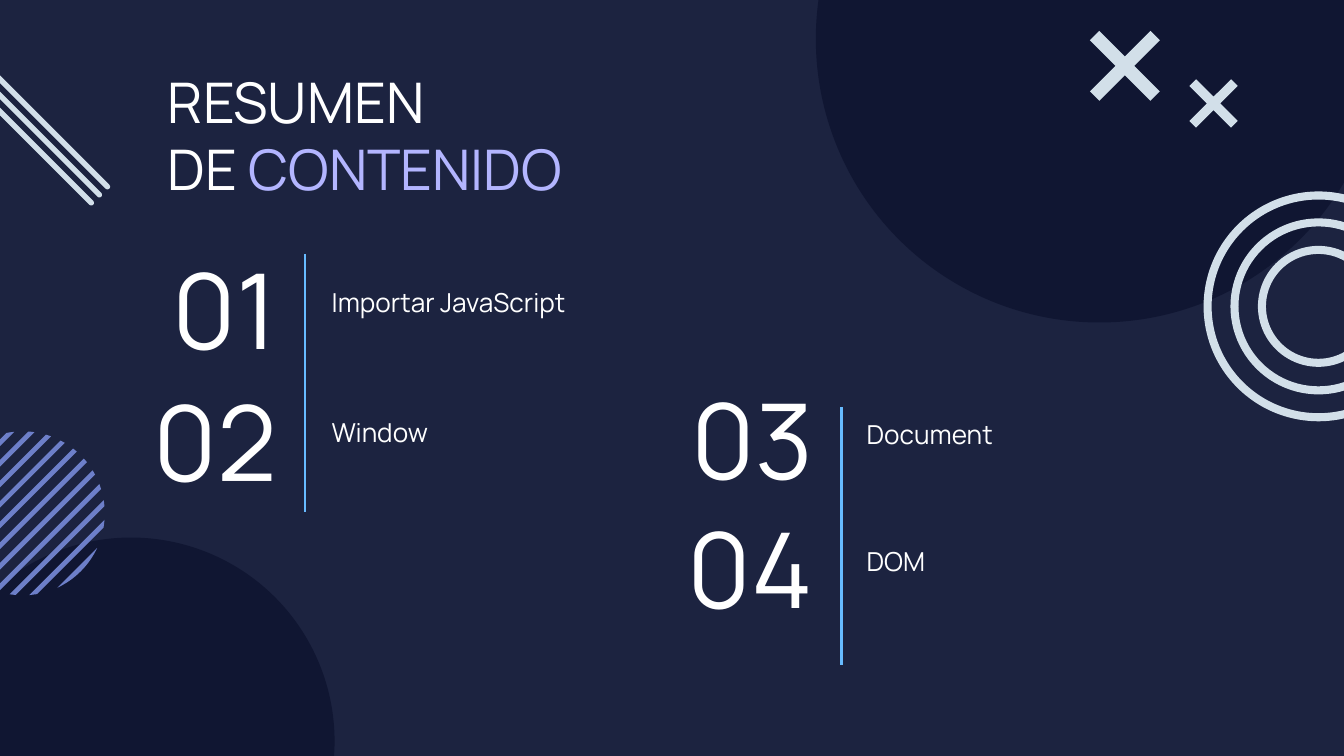
from math import acos, cos, pi, sin, sqrt

from lxml.etree import SubElement
from pptx import Presentation
from pptx.dml.color import RGBColor
from pptx.enum.shapes import MSO_CONNECTOR, MSO_SHAPE
from pptx.enum.text import MSO_ANCHOR, PP_ALIGN
from pptx.oxml.ns import qn
from pptx.util import Inches, Pt

NAVY = RGBColor(0x1C, 0x23, 0x40)
MIDNIGHT = RGBColor(0x10, 0x16, 0x32)
PERIWINKLE = RGBColor(0x6D, 0x7F, 0xC9)
ICE = RGBColor(0xD2, 0xDF, 0xE9)
LILAC = RGBColor(0xB3, 0xB5, 0xFF)
SKY = RGBColor(0x67, 0xBB, 0xFF)
WHITE = RGBColor(0xFF, 0xFF, 0xFF)

# Widescreen slide, 16:9
prs = Presentation()
prs.slide_width, prs.slide_height = Inches(10), Inches(10 * 9 / 16)
slide = prs.slides.add_slide(prs.slide_layouts[6])
slide.background.fill.solid()
slide.background.fill.fore_color.rgb = NAVY


def paint(shape, color):
    shape.shadow.inherit = False
    shape.fill.solid()
    shape.fill.fore_color.rgb = color
    shape.line.fill.background()


def add_text(left, top, width, height, lines, size, align=PP_ALIGN.LEFT, anchor=MSO_ANCHOR.TOP):
    """Each line is a list of (text, color) runs."""
    frame = slide.shapes.add_textbox(
        Inches(left), Inches(top), Inches(width), Inches(height)).text_frame
    margins = dict.fromkeys(
        ["margin_left", "margin_top", "margin_right", "margin_bottom"], Inches(0.1))
    for name, value in {"word_wrap": True, "vertical_anchor": anchor, **margins}.items():
        setattr(frame, name, value)
    for index, runs in enumerate(lines):
        paragraph = frame.add_paragraph() if index else frame.paragraphs[0]
        paragraph.alignment = align
        for text, color in runs:
            run = paragraph.add_run()
            run.text = text
            run.font.name, run.font.size = "Manrope", Pt(size)
            run.font.color.rgb = color


# Large dark circles
for left, top, diameter in [(-0.54, 4, 3.03), (6.07, -1.82, 4.22)]:
    circle = slide.shapes.add_shape(
        MSO_SHAPE.OVAL, Inches(left), Inches(top), Inches(diameter), Inches(diameter))
    paint(circle, MIDNIGHT)

# Striped disc: diagonal bands cut by a circle, the last one running to its edge
disc_x, disc_y, radius = 0.17, 3.82, 0.61
stripe_count, arc_steps = 11, 8
for index in range(stripe_count):
    near = (-0.72 + 1.53 * index / (stripe_count - 1)) / sqrt(2)
    far = radius if index == stripe_count - 1 else near + 0.05 / sqrt(2)
    start, end = acos(near / radius), acos(far / radius)
    arc = [start + (end - start) * step / arc_steps for step in range(arc_steps + 1)]
    angles = [pi / 4 + a for a in arc] + [pi / 4 - a for a in reversed(arc)]
    points = [(Inches(disc_x + radius * cos(a)), Inches(disc_y + radius * sin(a)))
              for a in angles]
    outline = slide.shapes.build_freeform(*points[0])
    outline.add_line_segments(points[1:])
    paint(outline.convert_to_shape(), PERIWINKLE)

# Concentric rings
for diameter in [1.71, 1.31, 0.9]:
    ring = slide.shapes.add_shape(
        MSO_SHAPE.DONUT, Inches(9.81 - diameter / 2), Inches(2.28 - diameter / 2),
        Inches(diameter), Inches(diameter))
    ring.adjustments[0] = 0.06 / diameter
    paint(ring, ICE)

# Parallel diagonal strokes
stroke_length, stroke_width = 1.65, 0.04
for index in range(3):
    stroke = slide.shapes.add_shape(
        MSO_SHAPE.ROUNDED_RECTANGLE,
        Inches(0.23 - 0.06 * index - stroke_length / 2),
        Inches(0.82 + 0.06 * index - stroke_width / 2),
        Inches(stroke_length), Inches(stroke_width))
    stroke.adjustments[0] = 0.5
    stroke.rotation = 45
    paint(stroke, ICE)

# Crosses
for x, y, half, arm in [(9.03, 0.77, 0.18, 0.05), (8.37, 0.49, 0.26, 0.07)]:
    tip = half - arm
    offsets = [(-tip, -half), (-half, -tip), (-arm, 0), (-half, tip), (-tip, half), (0, arm),
               (tip, half), (half, tip), (arm, 0), (half, -tip), (tip, -half), (0, -arm)]
    points = [(Inches(x + dx), Inches(y + dy)) for dx, dy in offsets]
    outline = slide.shapes.build_freeform(*points[0])
    outline.add_line_segments(points[1:])
    paint(outline.convert_to_shape(), ICE)

# Title
add_text(1.15, 0.4, 4.05, 0.98,
         [[("RESUMEN", WHITE)], [("DE ", WHITE), ("CONTENIDO", LILAC)]], 30)

# Numbered contents
for number, topic, number_left, number_top, topic_left, topic_top in [
    ("01", "Importar JavaScript", 0.71, 2.16, 2.37, 2.03),
    ("02", "Window", 0.71, 3.14, 2.37, 3),
    ("03", "Document", 4.7, 3.13, 6.35, 3.01),
    ("04", "DOM", 4.7, 4.09, 6.35, 3.96),
]:
    add_text(number_left, number_top, 1.45, 0.26, [[(number, WHITE)]], 56,
             PP_ALIGN.RIGHT, MSO_ANCHOR.MIDDLE)
    add_text(topic_left, topic_top, 2.57, 0.44, [[(topic, WHITE)]], 14)

# Vertical dividers
for x, top in [(2.27, 1.89), (6.26, 3.03)]:
    divider = slide.shapes.add_connector(
        MSO_CONNECTOR.STRAIGHT, Inches(x), Inches(top), Inches(x), Inches(top + 1.92))
    divider.line.color.rgb = SKY
    divider.line.width = Pt(1.5)
    SubElement(divider._element.spPr, qn("a:effectLst"))

prs.save("out.pptx")
